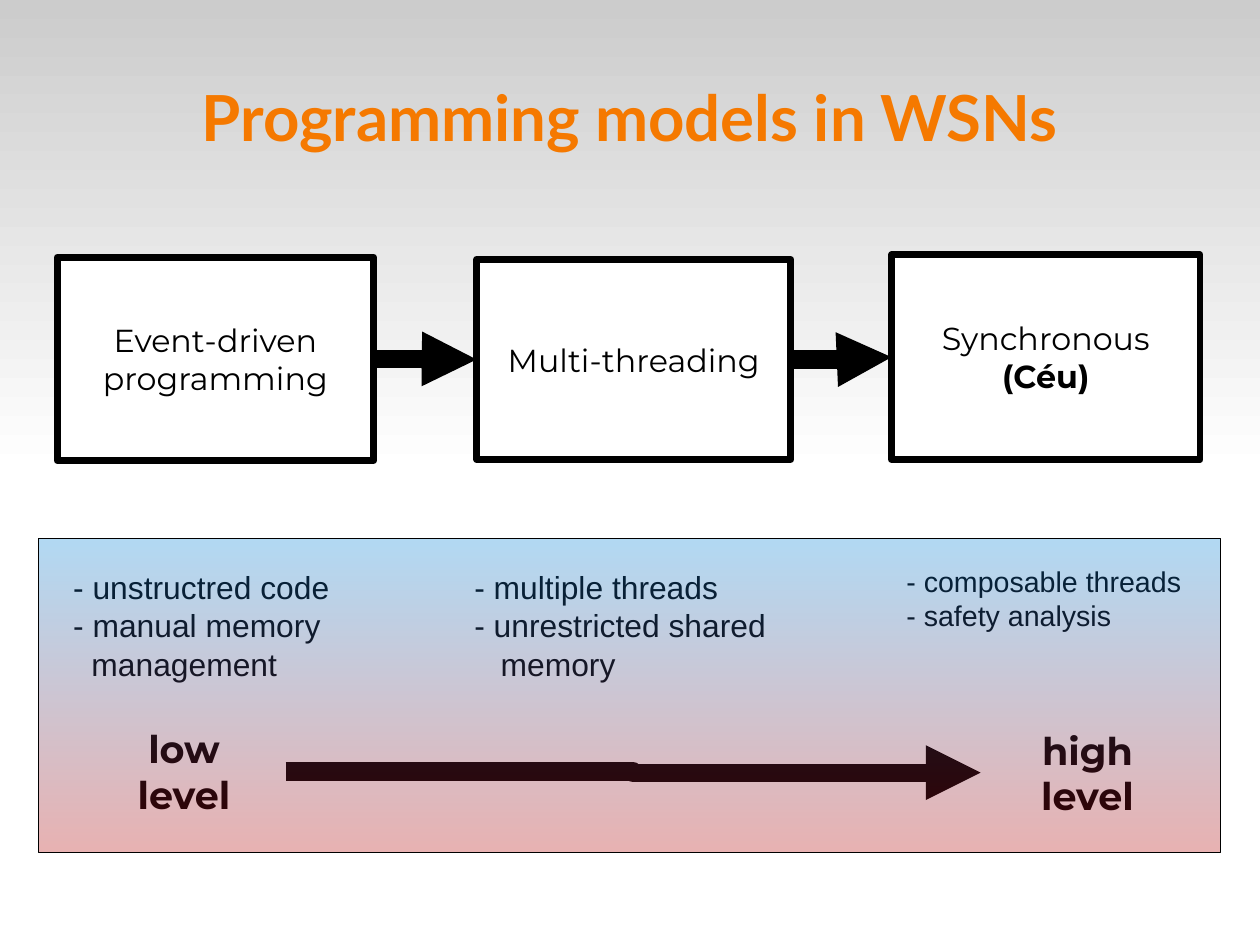
from pptx import Presentation
from pptx.dml.color import RGBColor
from pptx.enum.shapes import MSO_CONNECTOR, MSO_SHAPE
from pptx.enum.text import MSO_ANCHOR, MSO_AUTO_SIZE, PP_ALIGN
from pptx.oxml.ns import qn
from pptx.util import Inches, Pt
from lxml import etree

RECTANGLE = MSO_SHAPE.RECTANGLE
ELBOW = MSO_CONNECTOR.ELBOW
TOP, MIDDLE = MSO_ANCHOR.TOP, MSO_ANCHOR.MIDDLE
LEFT, CENTER = PP_ALIGN.LEFT, PP_ALIGN.CENTER
NO_AUTOFIT = MSO_AUTO_SIZE.NONE
LEFT_SIDE, RIGHT_SIDE = 1, 3

BLACK = RGBColor(0x00, 0x00, 0x00)
WHITE = RGBColor(0xFF, 0xFF, 0xFF)
GRAY = RGBColor(0xCC, 0xCC, 0xCC)
ORANGE = RGBColor(0xF5, 0x79, 0x00)
RED = RGBColor(0xB3, 0x00, 0x00)
BLUE = RGBColor(0x00, 0x82, 0xD9)

CM_PER_INCH = 2.54
SLIDE_W, SLIDE_H = 28 / CM_PER_INCH, 21 / CM_PER_INCH

MODELS = [
    ((0.5, 2.25, 2.77, 1.78), ["Event-driven programming"]),
    ((4.17, 2.27, 2.75, 1.75), ["Multi-threading"]),
    ((7.8, 2.23, 2.7, 1.79), ["Synchronous", "(Céu)"]),
]
TRAITS = [
    ((0.54, 4.92, 2.97, 1.03), 20, 0.16,
     ["- unstructred code", "- manual memory management"]),
    ((4.05, 4.92, 3.5, 1.03), 20, 0.23,
     ["- multiple threads", "- unrestricted shared memory"]),
    ((7.83, 4.88, 3.1, 1.03), 18, 0.16,
     ["- composable threads", "- safety analysis"]),
]
LEVELS = [
    ((0.72, 6.25, 1.78, 1), ["low", "level"]),
    ((8.58, 6.29, 1.87, 0.94), ["high", "level"]),
]


def place(s, box):
    s.left, s.top, s.width, s.height = [Inches(v) for v in box]


def write(s, lines, font="Montserrat", size=20, color=BLACK, bold=False,
          align=CENTER, anchor=MIDDLE, insets=(0, 0), hang=0):
    tf = s.text_frame
    tf.word_wrap = True
    tf.auto_size = NO_AUTOFIT
    tf.vertical_anchor = anchor
    tf.margin_left = tf.margin_right = Inches(insets[0])
    tf.margin_top = tf.margin_bottom = Inches(insets[1])
    for i, line in enumerate(lines):
        p = tf.add_paragraph() if i else tf.paragraphs[0]
        p.alignment = align
        p.space_before = Pt(0)
        set_hanging(p, hang)
        r = p.add_run()
        r.text = line
        r.font.name = font
        r.font.size = Pt(size)
        r.font.bold = bold
        r.font.color.rgb = color


def set_hanging(p, hang):
    pPr = p._p.get_or_add_pPr()
    pPr.set("marL", str(Inches(hang)))
    pPr.set("indent", str(-Inches(hang)))
    etree.SubElement(pPr, qn("a:buNone"))


def add_rect(slide, box):
    s = slide.shapes.add_shape(RECTANGLE, *[Inches(v) for v in box])
    s.shadow.inherit = False
    s.fill.background()
    s.line.fill.background()
    return s


def add_gradient(slide, box, colors, angle, opacity=100):
    s = add_rect(slide, box)
    s.fill.gradient()
    s.fill.gradient_angle = angle
    for stop, position, color in zip(s.fill.gradient_stops, (0, 1), colors):
        stop.position = position
        stop.color.rgb = color
    if opacity < 100:
        for clr in s._element.spPr.iter(qn("a:srgbClr")):
            etree.SubElement(clr, qn("a:alpha")).set("val", str(opacity * 1000))
    return s


def add_model(slide, box, lines):
    s = add_rect(slide, box)
    s.fill.solid()
    s.fill.fore_color.rgb = WHITE
    s.line.color.rgb = BLACK
    s.line.width = Pt(4.31)
    write(s, lines, insets=(0.03, 0.03))
    return s


def add_level(slide, box, lines):
    s = add_rect(slide, box)
    s.fill.solid()
    s.fill.fore_color.rgb = WHITE
    write(s, lines, size=24, bold=True)
    return s


def add_arrow(slide, start, end):
    c = slide.shapes.add_connector(ELBOW, 0, 0, 0, 0)
    c.begin_connect(start, RIGHT_SIDE)
    c.end_connect(end, LEFT_SIDE)
    c.line.color.rgb = BLACK
    c.line.width = Pt(11.5)
    etree.SubElement(c.line._get_or_add_ln(), qn("a:tailEnd")).set("type", "triangle")
    etree.SubElement(c._element.spPr, qn("a:effectLst"))


def main():
    prs = Presentation()
    prs.slide_width, prs.slide_height = Inches(SLIDE_W), Inches(SLIDE_H)
    slide = prs.slides.add_slide(prs.slide_layouts.get_by_name("Comparison"))

    backdrop = add_gradient(slide, (0, 0, SLIDE_W, SLIDE_H / 2), (GRAY, WHITE), 270)
    slide.shapes._spTree.insert(2, backdrop._element)

    title, *bodies = slide.placeholders
    place(title, (0.55, 0.33, 9.92, 1.38))
    write(title, ["Programming models in WSNs"], font="Lato", size=40,
          color=ORANGE, bold=True)

    for body, (box, size, hang, lines) in zip(bodies, TRAITS):
        place(body, box)
        write(body, lines, font="Arial", size=size, align=LEFT, anchor=TOP,
              insets=(0.1, 0.05), hang=hang)
    for spare in bodies[len(TRAITS):]:
        spare._element.getparent().remove(spare._element)

    models = [add_model(slide, box, lines) for box, lines in MODELS]
    models[-1].text_frame.paragraphs[-1].runs[0].font.bold = True
    for start, end in zip(models, models[1:]):
        add_arrow(slide, start, end)

    low, high = [add_level(slide, box, lines) for box, lines in LEVELS]
    add_arrow(slide, low, high)

    panel = add_gradient(slide, (0.34, 4.71, 10.34, 2.75), (RED, BLUE), 90, opacity=30)
    panel.line.color.rgb = BLACK
    panel.line.width = Pt(0)

    prs.save("out.pptx")


if __name__ == "__main__":
    main()
